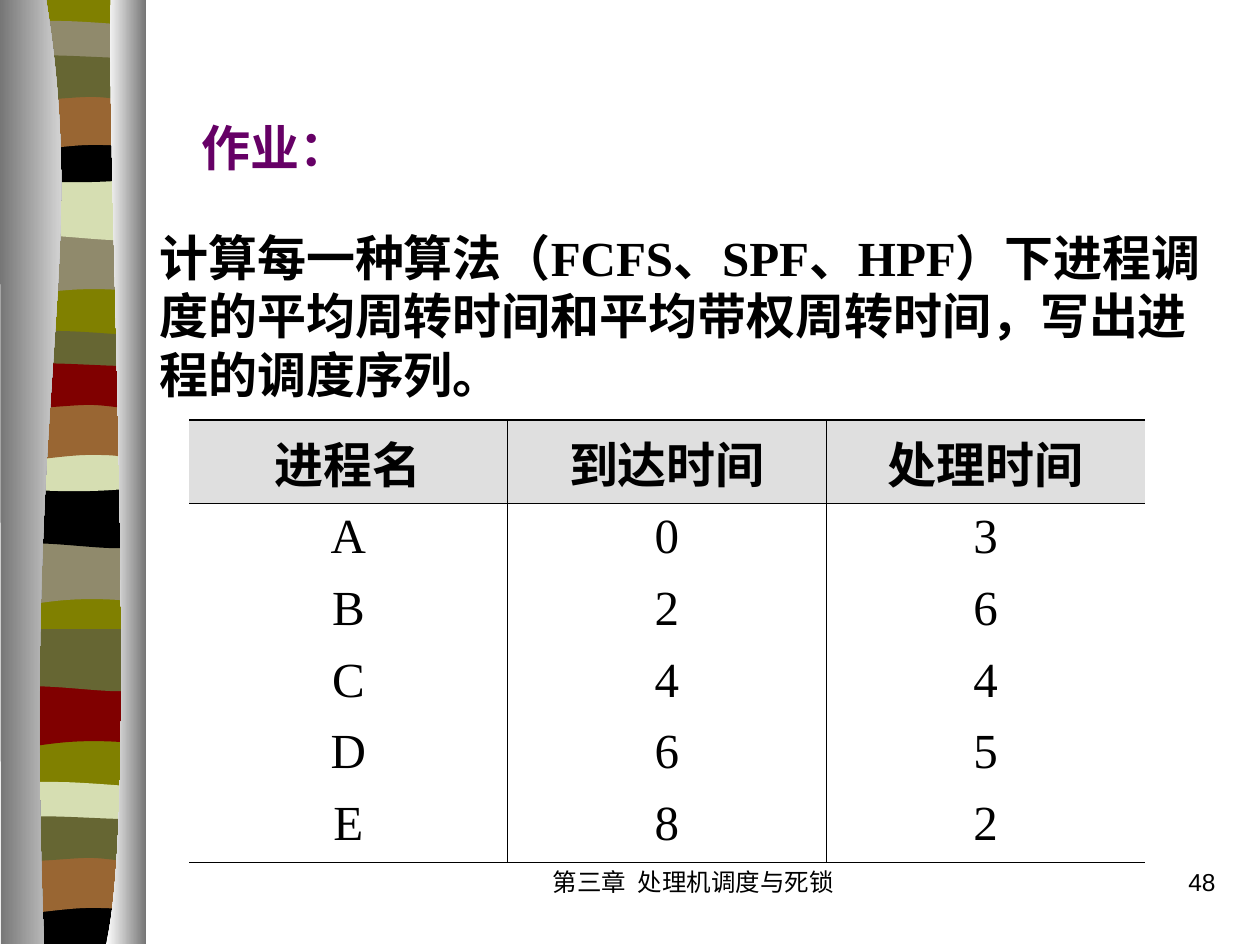
from typing import NamedTuple

from lxml import etree
from pptx import Presentation, util as u
from pptx.dml.color import RGBColor
from pptx.enum import text
from pptx.oxml import parse_xml
from pptx.oxml.ns import nsdecls, qn

EMU_PER_PX = 914400 / 126
COLORS = {
    "black": "000000", "olive": "808000", "moss": "666633", "taupe": "908A6C",
    "sage": "D6DEB2", "brown": "996633", "maroon": "800000", "purple": "660066",
    "silver": "C0C0C0", "gray": "767676", "white": "FFFFFF",
}

# Outlines: a start point, then lines (one point) and cubic curves (three points)
OUTLINES = {
    "wave": [(136, 0), [(136, 59)], [(42, 49), (23, 69), (0, 59)], [(0, 0)]],
    "sag": [(136, 0), [(136, 59)], [(113, 69), (42, 52), (0, 59)], [(0, 0)]],
    "arch": [(136, 6), [(136, 36)], [(113, 42), (23, 42), (0, 36)], [(0, 6)],
             [(8, 0), (29, 1), (52, 1)], [(74, 1), (118, 5), (136, 6)]],
    "bowl": [(136, 0), [(136, 41)], [(113, 48), (23, 48), (0, 41)], [(0, 0)],
             [(83, 6), (107, 0), (136, 0)]],
    "foot": [(136, 0), [(136, 47)], [(1, 47)], [(0, 0)], [(83, 6), (107, 0), (136, 0)]],
    "hump": [(136, 0), [(136, 59)], [(115, 52), (106, 52), (83, 52)],
             [(60, 52), (20, 59), (0, 59)], [(0, 0)]],
    "ripple": [(136, 6), [(136, 45)], [(127, 52), (106, 45), (83, 45)],
               [(60, 45), (14, 52), (0, 45)], [(0, 6)],
               [(19, 0), (92, 6), (115, 6)], [(138, 6), (132, 6), (136, 6)]],
    "column": [(136, 0), [(136, 942)], [(0, 942)], [(0, 0)]],
    "left pillar": [(46, -1), [(90, 272), (22, 373), (44, 944)], [(1, 944)], [(0, -1)]],
    "right pillar": [(111, -1), [(106, 158), (140, 814), (106, 944)],
                     [(146, 944)], [(146, 0)]],
}


class Stripe(NamedTuple):
    outline: str
    x: int
    y: int
    color: str


class Label(NamedTuple):
    words: str
    box: tuple[int, int, int, int]
    size: int
    font: str
    color: str = "black"
    bold: bool = False
    align: text.PP_ALIGN = text.PP_ALIGN.LEFT
    spacing: float = 1.0


STRIPES = [
    Stripe("column", 8, -1, "olive"),
    Stripe("wave", 8, 233, "taupe"), Stripe("sag", 8, 178, "sage"),
    Stripe("arch", 8, 20, "taupe"), Stripe("bowl", 8, 136, "black"),
    Stripe("hump", 8, 93, "brown"), Stripe("ripple", 8, 52, "moss"),
    Stripe("wave", 6, 543, "taupe"), Stripe("sag", 6, 486, "black"),
    Stripe("arch", 6, 330, "moss"), Stripe("bowl", 6, 445, "sage"),
    Stripe("hump", 6, 403, "brown"), Stripe("ripple", 6, 360, "maroon"),
    Stripe("wave", 8, 685, "maroon"), Stripe("sag", 8, 629, "moss"),
    Stripe("arch", 6, 781, "sage"), Stripe("foot", 6, 897, "black"),
    Stripe("hump", 6, 856, "brown"), Stripe("ripple", 6, 813, "moss"),
]
TITLE = Label("作业：", (189, 105, 179, 78), 28, "Times New Roman", "purple", True,
              spacing=1.1)
LABELS = [
    Label("计算每一种算法（FCFS、SPF、HPF）下进程调度的平均周转时间和平均带权周转时间，"
          "写出进程的调度序列。", (147, 221, 1092, 189), 28, "Times New Roman", bold=True),
    Label("第三章  处理机调度与死锁", (494, 861, 399, 63), 14, "Arial",
          align=text.PP_ALIGN.CENTER),
    Label("48", (966, 861, 262, 63), 14, "Arial", align=text.PP_ALIGN.RIGHT),
]
ROWS = [
    ("进程名", "到达时间", "处理时间"),
    ("A", "0", "3"), ("B", "2", "6"), ("C", "4", "4"), ("D", "6", "5"), ("E", "8", "2"),
]
TABLE_BOX = (189, 420, 956, 431)
THIN, THICK = 0.45, 1.08


def px(n: float) -> u.Emu:
    return u.Emu(round(n * EMU_PER_PX))


def rgb(name: str) -> RGBColor:
    return RGBColor.from_string(COLORS[name])


def add_outline(slide, name: str, x: int = 0, y: int = 0):
    start, *segments = OUTLINES[name]
    points = [(px(x + a), px(y + b)) for seg in segments for a, b in seg]
    fb = slide.shapes.build_freeform(px(x + start[0]), px(y + start[1]), scale=1.0)
    fb.add_line_segments(points, close=True)
    sp = fb.convert_to_shape()
    # Join each three-point segment into one cubic curve
    lines = iter(list(sp._element.iter(qn("a:lnTo"))))
    for seg in segments:
        group = [next(lines) for _ in seg]
        if len(group) == 3:
            curve = etree.Element(qn("a:cubicBezTo"))
            group[0].addprevious(curve)
            for line in group:
                curve.append(line[0])
                line.getparent().remove(line)
    sp.shadow.inherit = False
    sp.line.fill.background()
    return sp


def add_pillar(slide, name: str, start: str, end: str) -> None:
    fill = add_outline(slide, name).fill
    fill.gradient()
    fill.gradient_angle = 0
    for stop, color in zip(fill.gradient_stops, (start, end)):
        stop.color.rgb = rgb(color)


def write(tf, label: Label) -> None:
    tf.word_wrap = True
    tf.vertical_anchor = text.MSO_ANCHOR.TOP
    p = tf.paragraphs[0]
    p.alignment, p.line_spacing = label.align, label.spacing
    r = p.add_run()
    r.text = label.words
    f = r.font
    f.size, f.name, f.bold = u.Pt(label.size), label.font, label.bold
    f.color.rgb = rgb(label.color)


def set_borders(cell, widths: dict[str, float]) -> None:
    """Draw the sides that have a width and clear the others."""
    tc_pr = cell._tc.get_or_add_tcPr()
    for i, side in enumerate("LRTB"):
        width = widths[side]
        paint = (f'<a:solidFill><a:srgbClr val="{COLORS["black"]}"/></a:solidFill>'
                 if width else "<a:noFill/>")
        tc_pr.insert(i, parse_xml(
            f'<a:ln{side} {nsdecls("a")} w="{u.Pt(width)}">{paint}</a:ln{side}>'))


def add_process_table(slide) -> None:
    n_rows, n_cols = len(ROWS), len(ROWS[0])
    table = slide.shapes.add_table(n_rows, n_cols, *map(px, TABLE_BOX)).table
    table.first_row = table.horz_banding = False
    for i, row in enumerate(ROWS):
        for j, words in enumerate(row):
            cell = table.cell(i, j)
            write(cell.text_frame, Label(words, (0, 0, 0, 0), 28, "Times New Roman",
                                         bold=i == 0, align=text.PP_ALIGN.CENTER))
            if i == 0:
                cell.fill.solid()
                cell.fill.fore_color.rgb = rgb("silver")
                clr = cell._tc.tcPr.find(".//" + qn("a:srgbClr"))
                clr.append(parse_xml(f'<a:alpha {nsdecls("a")} val="50000"/>'))
            else:
                cell.fill.background()
            set_borders(cell, {
                "L": THIN if j else 0,
                "R": THIN if j < n_cols - 1 else 0,
                "T": {0: THICK, 1: THIN}.get(i, 0),
                "B": {0: THIN, n_rows - 1: THICK}.get(i, 0),
            })


def main() -> None:
    prs = Presentation()
    prs.slide_width, prs.slide_height = px(1260), px(945)
    slide = prs.slides.add_slide(prs.slide_layouts[5])

    # Decorative column
    for s in STRIPES:
        sp = add_outline(slide, s.outline, s.x, s.y)
        sp.fill.solid()
        sp.fill.fore_color.rgb = rgb(s.color)
    add_pillar(slide, "left pillar", "gray", "white")
    add_pillar(slide, "right pillar", "white", "gray")

    # Process table
    add_process_table(slide)

    # Title and other text
    title = slide.shapes.title
    title.left, title.top, title.width, title.height = map(px, TITLE.box)
    write(title.text_frame, TITLE)
    for label in LABELS:
        write(slide.shapes.add_textbox(*map(px, label.box)).text_frame, label)

    prs.save("out.pptx")


if __name__ == "__main__":
    main()
